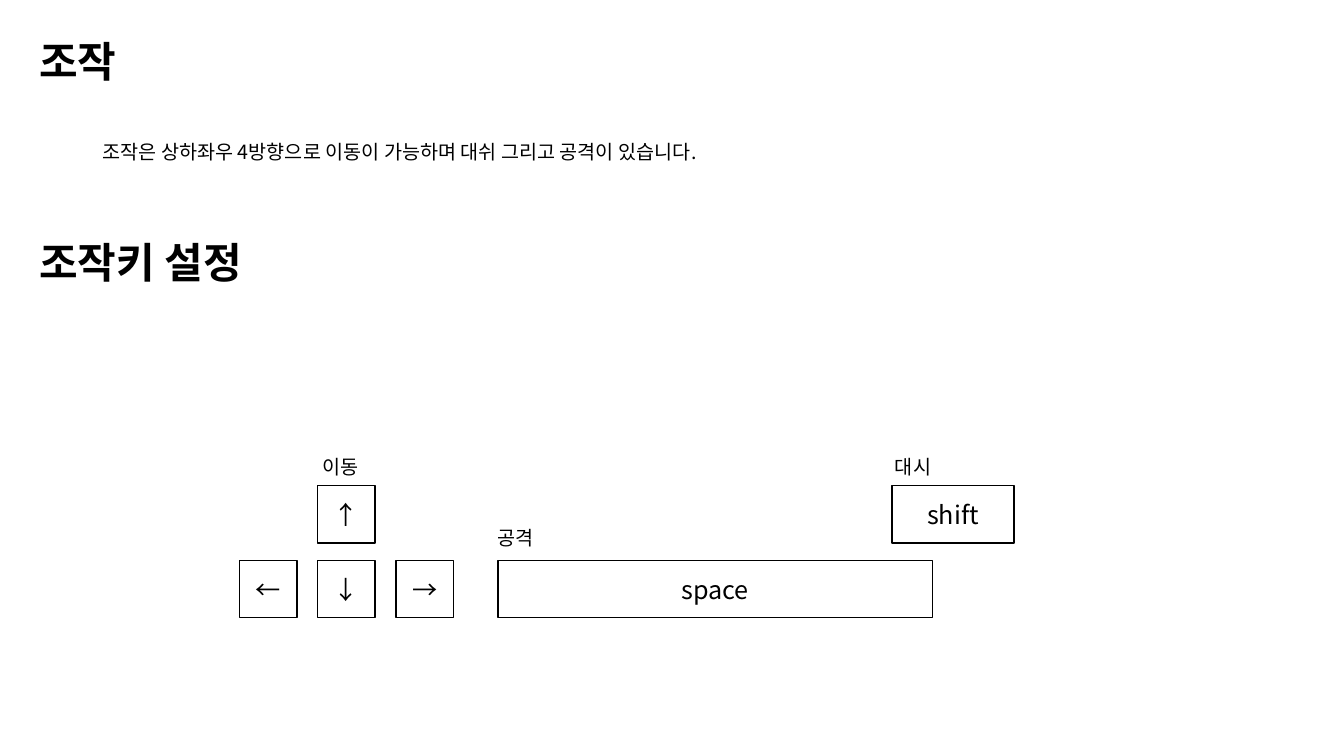
from typing import NamedTuple

from lxml.etree import SubElement
from pptx import Presentation
from pptx.dml.color import RGBColor
from pptx.enum.shapes import MSO_SHAPE
from pptx.enum.text import MSO_ANCHOR, MSO_AUTO_SIZE, PP_ALIGN
from pptx.oxml.ns import qn
from pptx.util import Pt

FONT = "Noto Sans CJK KR"
COLORS = {"ink": "000000", "paper": "FFFFFF"}
KEY = 41
COL_LEFT, COL_PITCH = 171.2, 55.8
TOP_ROW, BOTTOM_ROW = 347, 400.3
HEADING_LEFT, LINE_WIDTH, LINE_HEIGHT = 20.9, 828, 53.3


class Box(NamedTuple):
    text: str
    left: float
    top: float
    width: float
    height: float


TITLE = Box("조작", HEADING_LEFT, 18.7, LINE_WIDTH, LINE_HEIGHT)
SUBTITLE = Box("조작키 설정", HEADING_LEFT, 162.7, LINE_WIDTH, LINE_HEIGHT)
KEYS = [
    Box("↑", COL_LEFT + COL_PITCH, TOP_ROW, KEY, KEY),
    *(Box(arrow, COL_LEFT + i * COL_PITCH, BOTTOM_ROW, KEY, KEY)
      for i, arrow in enumerate("←↓→")),
    Box("space", 355.7, BOTTOM_ROW, 310.3, KEY),
    Box("shift", 637.2, TOP_ROW, 87.1, KEY),
]
NOTES = [
    Box("조작은 상하좌우 4방향으로 이동이 가능하며 대쉬 그리고 공격이 있습니다.",
        66.2, 98.6, LINE_WIDTH, LINE_HEIGHT),
    Box("이동", 223.2, 323.3, 48.2, 26.6),
    Box("공격", 348.5, 373.7, 48.2, 53.3),
    Box("대시", 632.2, 323.3, 48.2, 26.6),
]


def rgb(name: str) -> RGBColor:
    return RGBColor.from_string(COLORS[name])


def frame(box: Box) -> tuple:
    return Pt(box.left), Pt(box.top), Pt(box.width), Pt(box.height)


def write(sp, text: str, size: float, bold: bool = False,
          align=PP_ALIGN.LEFT, anchor=MSO_ANCHOR.MIDDLE):
    tf = sp.text_frame
    tf.text = text
    tf.word_wrap = True
    tf.auto_size = MSO_AUTO_SIZE.NONE
    tf.vertical_anchor = anchor
    p = tf.paragraphs[0]
    p.alignment = align
    r = p.runs[0]
    r.font.size = Pt(size)
    r.font.bold = bold
    r.font.color.rgb = rgb("ink")
    r.font.name = FONT
    SubElement(r.font._element, qn("a:ea"), typeface=FONT)
    return p


def write_heading(sp, box: Box) -> None:
    sp.left, sp.top, sp.width, sp.height = frame(box)
    write(sp, box.text, 30, bold=True).line_spacing = 0.9


def add_note(s, box: Box) -> None:
    p = write(s.shapes.add_textbox(*frame(box)), box.text, 14, anchor=MSO_ANCHOR.TOP)
    p.line_spacing = 0.9
    p.space_before = Pt(10)


def add_key(s, box: Box) -> None:
    sp = s.shapes.add_shape(MSO_SHAPE.RECTANGLE, *frame(box))
    sp.shadow.inherit = False
    sp.fill.solid()
    sp.fill.fore_color.rgb = rgb("paper")
    sp.line.color.rgb = rgb("ink")
    sp.line.width = Pt(1)
    write(sp, box.text, 18, align=PP_ALIGN.CENTER)


def main() -> None:
    """Build the slide that explains the game controls and their keys."""
    prs = Presentation()
    prs.slide_width, prs.slide_height = Pt(960), Pt(540)
    s = prs.slides.add_slide(prs.slide_layouts[5])
    write_heading(s.shapes.title, TITLE)
    write_heading(s.shapes.add_textbox(*frame(SUBTITLE)), SUBTITLE)
    for key in KEYS:
        add_key(s, key)
    for note in NOTES:
        add_note(s, note)
    prs.save("out.pptx")


if __name__ == "__main__":
    main()
